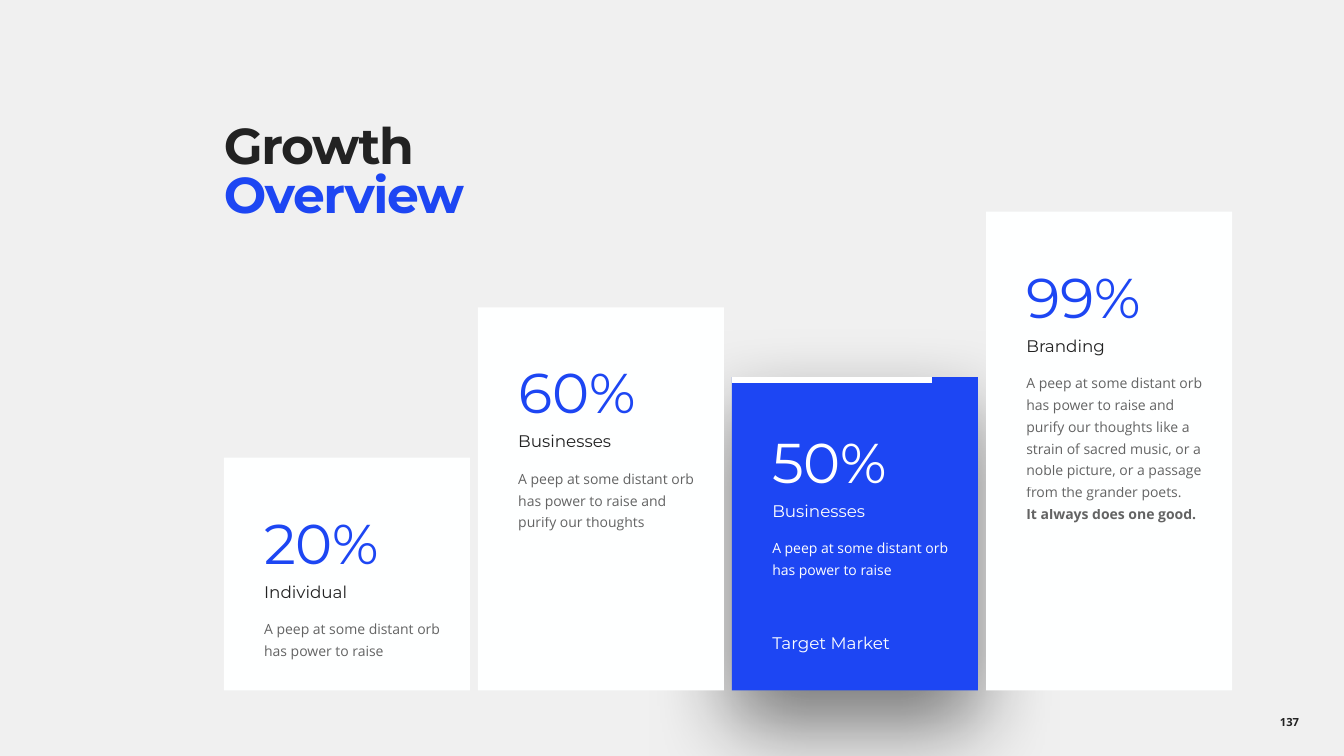
"""Build the Growth Overview slide: four stepped cards on one baseline."""
from copy import deepcopy
from dataclasses import dataclass

from lxml import etree
from pptx import Presentation
from pptx.dml.color import RGBColor
from pptx.enum.shapes import MSO_CONNECTOR, MSO_SHAPE
from pptx.enum.text import MSO_ANCHOR, PP_ALIGN
from pptx.oxml.ns import qn
from pptx.util import Inches, Pt

RECTANGLE, STRAIGHT = MSO_SHAPE.RECTANGLE, MSO_CONNECTOR.STRAIGHT
TOP, MIDDLE = MSO_ANCHOR.TOP, MSO_ANCHOR.MIDDLE
LEFT, CENTER = PP_ALIGN.LEFT, PP_ALIGN.CENTER

BLUE, INK, PAPER, WHITE, GROUND = "1D46F3", "222222", "FEFFFF", "FFFFFF", "F0F0F0"
HEADING, BODY = "Montserrat", "Open Sans"
GRID_LEFT, PITCH, CARD_WIDTH, BASELINE = 2.22, 2.52, 2.44, 6.85
CARD_PADDING = (0.4, 0.3, 0.2, 0)
RULE_WEIGHT = 4


@dataclass(frozen=True)
class Span:
    """A stretch of text on its own line, with one format."""
    text: str
    size: float
    face: str
    color: str
    bold: bool = False
    alpha: int = 100
    tracking: int = 0


@dataclass(frozen=True)
class Card:
    """One card of the chart-like row."""
    column: int
    height: float
    share: str
    label: str
    body: str
    closing: str = ""
    featured: bool = False


CARDS = [
    Card(2, 3.11, "50%", "Businesses",
         "A peep at some distant orb has power to raise", featured=True),
    Card(0, 2.31, "20%", "Individual", "A peep at some distant orb has power to raise"),
    Card(1, 3.8, "60%", "Businesses",
         "A peep at some distant orb has power to raise and purify our thoughts"),
    Card(3, 4.75, "99%", "Branding",
         "A peep at some distant orb has power to raise and purify our thoughts like a "
         "strain of sacred music, or a noble picture, or a passage from the grander poets.",
         "It always does one good."),
]


def column_left(column: int) -> float:
    """Return the left edge of a grid column in inches."""
    return GRID_LEFT + column * PITCH


def paint(target, color: str) -> None:
    """Give a fill a solid colour from a hex string."""
    target.solid()
    target.fore_color.rgb = RGBColor.from_string(color)


def apply(target, **values) -> None:
    """Set each named format value on an object."""
    for name, value in values.items():
        setattr(target, name, value)


def write_span(paragraph, span: Span):
    """Add one formatted run and return it."""
    run = paragraph.add_run()
    run.text = span.text
    apply(run.font, size=Pt(span.size), name=span.face, bold=span.bold)
    paint(run.font.fill, span.color)
    properties = run._r.get_or_add_rPr()
    if span.tracking:
        properties.set("spc", str(span.tracking))
    if span.alpha < 100:
        swatch = properties.find(".//" + qn("a:srgbClr"))
        etree.SubElement(swatch, qn("a:alpha")).set("val", str(span.alpha * 1000))
    return run


def write(frame, paragraphs: list[list[Span]], insets=(0, 0, 0, 0), spacing=1.0,
          gap=0, anchor=TOP, align=LEFT, wrap=True) -> None:
    """Fill a text frame, with a line break between spans of a paragraph."""
    sides = ("margin_left", "margin_top", "margin_right", "margin_bottom")
    apply(frame, **dict(zip(sides, map(Inches, insets))),
          vertical_anchor=anchor, word_wrap=wrap)
    for index, spans in enumerate(paragraphs):
        paragraph = frame.add_paragraph() if index else frame.paragraphs[0]
        apply(paragraph, line_spacing=spacing, alignment=align,
              space_before=Pt(gap if index else 0))
        previous = None
        for span in spans:
            if previous is not None:
                paragraph.add_line_break()
                paragraph._p[-1].append(deepcopy(previous._r.rPr))
            previous = write_span(paragraph, span)


def add_label(shapes, box: tuple, paragraphs: list[list[Span]], **layout) -> None:
    """Add a text box with its place given in inches."""
    write(shapes.add_textbox(*map(Inches, box)).text_frame, paragraphs, **layout)


def cast_shadow(panel) -> None:
    """Drop a soft black shadow straight down."""
    effects = panel._element.spPr.find(qn("a:effectLst"))
    shadow = etree.SubElement(effects, qn("a:outerShdw"), blurRad=str(Pt(60)),
                              dist=str(Pt(25)), dir="5400000", algn="t", rotWithShape="0")
    shade = etree.SubElement(shadow, qn("a:srgbClr"), val="000000")
    etree.SubElement(shade, qn("a:alpha"), val="50000")


def add_card(shapes, card: Card) -> None:
    """Draw a card standing on the baseline."""
    left, top = column_left(card.column), BASELINE - card.height
    panel = shapes.add_shape(RECTANGLE, *map(Inches, (left, top, CARD_WIDTH, card.height)))
    panel.shadow.inherit = False
    panel.line.fill.background()
    paint(panel.fill, BLUE if card.featured else PAPER)
    share_color, label_color, body_color, alpha = (
        (WHITE, WHITE, WHITE, 100) if card.featured else (BLUE, INK, INK, 70))
    body = [Span(card.body, 10, BODY, body_color, alpha=alpha)]
    if card.closing:
        body.append(Span(card.closing, 10, BODY, body_color, True, alpha))
    figures = [Span(card.share, 40, HEADING, share_color),
               Span(card.label, 12, HEADING, label_color)]
    write(panel.text_frame, [figures, body], CARD_PADDING, spacing=1.3, gap=10)
    if card.featured:
        cast_shadow(panel)


def add_featured_details(shapes, card: Card) -> None:
    """Add the target label and the white top rule of the featured card."""
    left, rule_y = column_left(card.column), BASELINE - card.height + 0.03
    add_label(shapes, (left + CARD_PADDING[0], BASELINE - 0.57, 1.25, 0.2),
              [[Span("Target Market", 12, HEADING, PAPER)]], wrap=False)
    rule = shapes.add_connector(
        STRAIGHT, *map(Inches, (left, rule_y, left + 1.98, rule_y)))
    paint(rule.line.fill, WHITE)
    rule.line.width = Pt(RULE_WEIGHT)
    etree.SubElement(rule._element.spPr, qn("a:effectLst"))


def main() -> None:
    """Build and save the slide."""
    deck = Presentation()
    apply(deck, slide_width=Inches(13.33), slide_height=Inches(7.5))
    slide = deck.slides.add_slide(deck.slide_layouts[6])
    paint(slide.background.fill, GROUND)
    add_label(slide.shapes, (12.24, 6.96, 1.1, 0.4),
              [[Span("137", 8, BODY, INK, True)]], insets=(0.1, 0.05, 0.1, 0.05),
              anchor=MIDDLE, align=CENTER)
    add_label(slide.shapes, (GRID_LEFT, 1.04, 10.01, 1.37),
              [[Span("Growth", 36, HEADING, INK, True, tracking=-100),
                Span("Overview", 36, HEADING, BLUE, True, tracking=-100)]],
              insets=(0, 0.21, 0, 0), spacing=0.8)
    for card in CARDS:
        if card.featured:
            group = slide.shapes.add_group_shape()
            add_card(group.shapes, card)
            add_featured_details(group.shapes, card)
        else:
            add_card(slide.shapes, card)
    deck.save("out.pptx")


if __name__ == "__main__":
    main()
